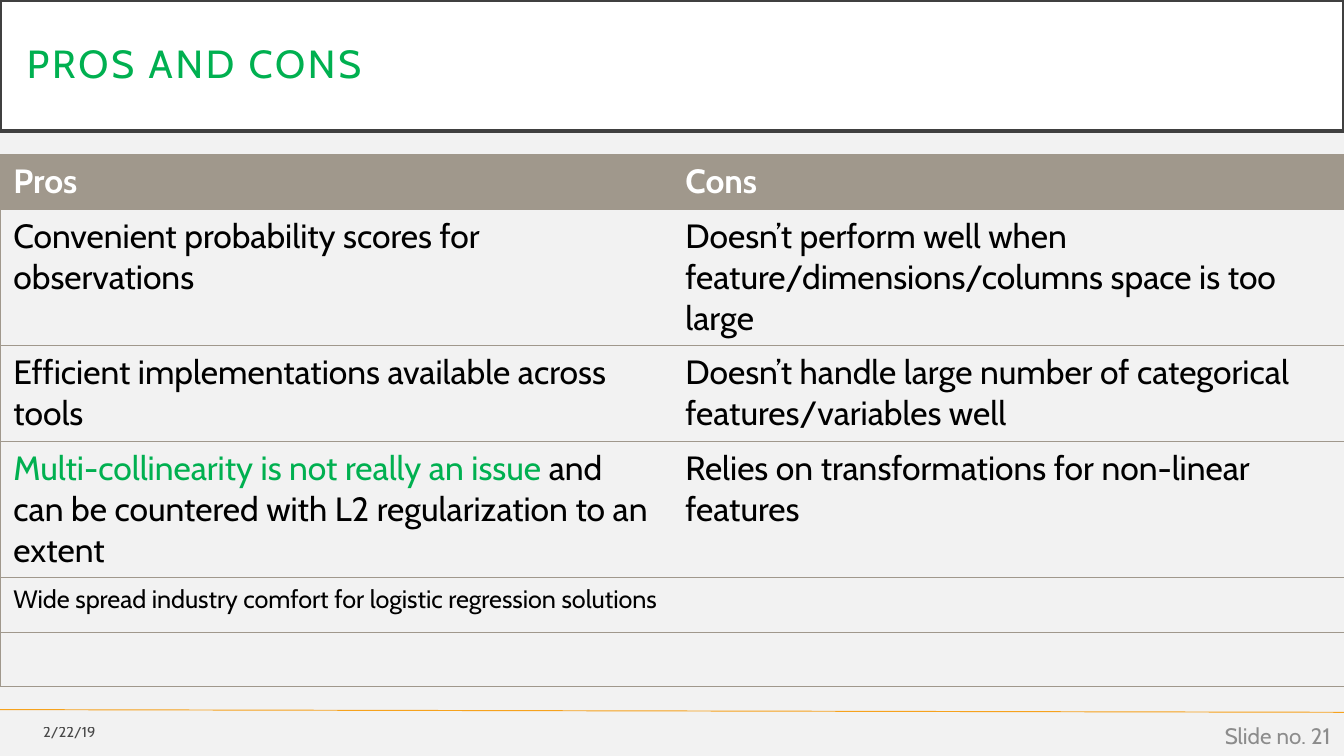
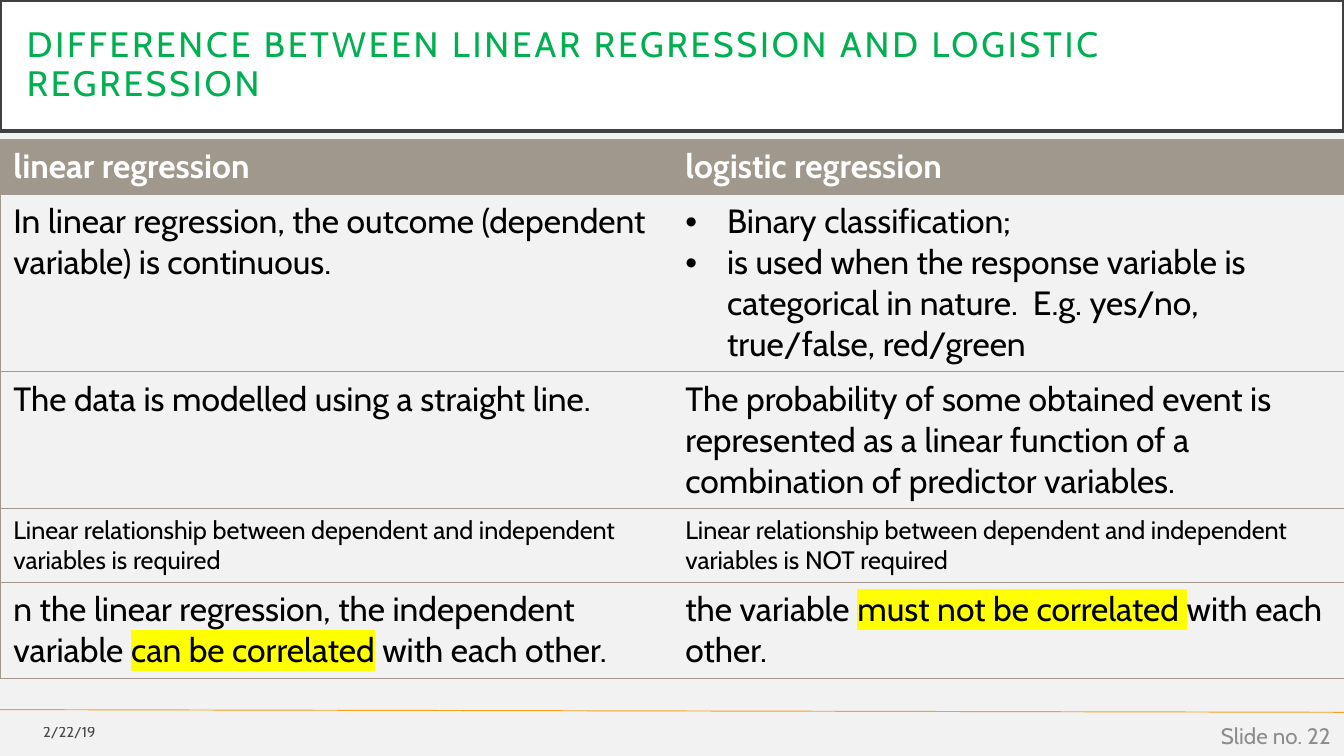
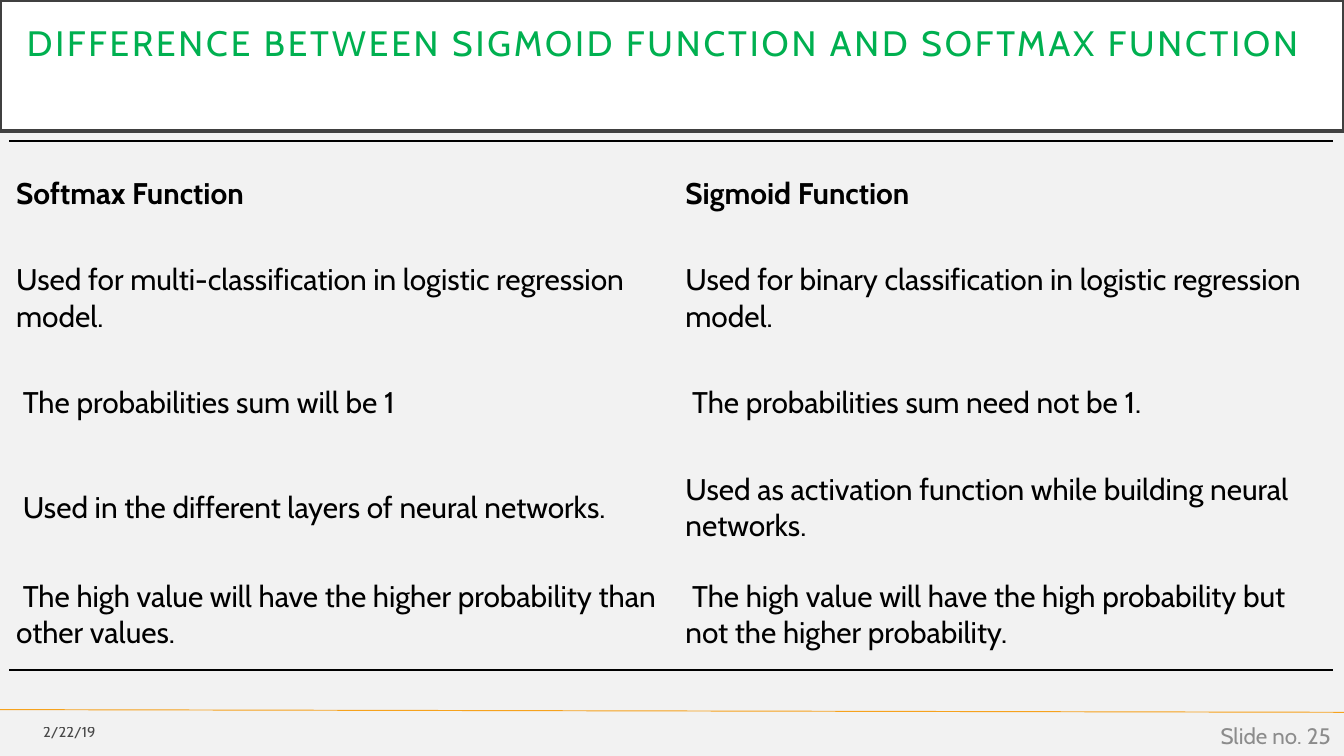
"""Build three slides that compare regression methods and functions."""
from dataclasses import dataclass
from typing import NamedTuple

from lxml import etree
from pptx import Presentation
from pptx import util as u
from pptx.dml.color import RGBColor
from pptx.enum import shapes, text
from pptx.oxml import ns

PX = 4572
WIDE, HIGH = 2000, 1125
FONT = "Cabin"
BLACK, WHITE, GREEN, TAUPE = "000000", "FFFFFF", "00B050", "A0988C"
PAPER, FRAME, GOLD, GREY, YELLOW = "F2F2F2", "404040", "F6A21D", "8C8C8C", "FFFF00"
DATE = "2/22/19"
PLAIN = "{2D5ABB26-0587-4C30-8999-92F81FD0307C}"
LEFT, RIGHT = text.PP_ALIGN.LEFT, text.PP_ALIGN.RIGHT


class Run(NamedTuple):
    """Words in one style."""
    words: str
    size: float = 18
    hue: str = BLACK
    bold: bool = False
    mark: str = ""
    track: int = 0
    alpha: int = 100


class Para(NamedTuple):
    """Runs on shared lines."""
    runs: tuple[Run, ...]
    dot: bool = False
    align: text.PP_ALIGN = LEFT
    lead: float = 1.0
    tail: bool = False


class Box(NamedTuple):
    """Place and size in px."""
    left: int
    top: int
    width: int
    height: int


Cell = tuple[Para, ...]


@dataclass
class Grid:
    """Table with its lines and margins."""
    left: int
    top: int
    cols: tuple[int, ...]
    rows: tuple[int, ...]
    cells: list[tuple[Cell, Cell]]
    ruled: bool = True


@dataclass
class Page:
    """Title, number and table of one slide."""
    title: str
    size: float
    number: int
    grid: Grid
    tail: bool = False


def px(count: int) -> u.Emu:
    """Turn px into EMU."""
    return u.Emu(count * PX)


def color(code: str) -> RGBColor:
    """Turn a hex string into a colour."""
    return RGBColor.from_string(code)


def child(parent, tag: str, **attrs: str):
    """Append an XML element."""
    return etree.SubElement(parent, ns.qn(tag), attrs)


def add_run(line, item: Run) -> None:
    """Add one styled run."""
    run = line.add_run()
    run.text = item.words
    font = run.font
    font.size, font.bold = u.Pt(item.size), item.bold
    font.color.rgb = color(item.hue)
    props = run._r.get_or_add_rPr()
    if item.alpha < 100:
        child(props.find(".//" + ns.qn("a:srgbClr")), "a:alpha", val=str(item.alpha * 1000))
    if item.mark:
        child(child(props, "a:highlight"), "a:srgbClr", val=item.mark)
    if item.track:
        props.set("spc", str(item.track))
    font.name = FONT


def fill_text(frame, paras: Cell) -> None:
    """Write paragraphs into a frame."""
    for at, para in enumerate(paras):
        line = frame.add_paragraph() if at else frame.paragraphs[0]
        line.alignment, line.line_spacing = para.align, para.lead
        if para.dot:
            props = line._p.get_or_add_pPr()
            props.set("marL", str(px(62)))
            props.set("indent", str(px(-62)))
            child(props, "a:buFont", typeface="Arial")
            child(props, "a:buChar", char="•")
        for run in para.runs:
            add_run(line, run)
        if para.tail:
            line.add_line_break()


def add_title(slide, page: Page) -> None:
    """Draw the framed title band."""
    band = slide.shapes.add_shape(shapes.MSO_SHAPE.RECTANGLE, 0, 0, px(WIDE), px(195))
    band.shadow.inherit = False
    band.fill.solid()
    band.fill.fore_color.rgb = color(WHITE)
    band.line.color.rgb = color(FRAME)
    band.line.width = u.Pt(2.5)
    frame = band.text_frame
    frame.word_wrap = True
    frame.vertical_anchor = text.MSO_ANCHOR.MIDDLE
    frame.margin_left = frame.margin_right = px(40)
    frame.margin_top = frame.margin_bottom = px(40)
    run = Run(page.title, page.size, GREEN, track=150)
    fill_text(frame, (Para((run,), lead=0.9, tail=page.tail),))


def add_note(slide, box: Box, run: Run) -> None:
    """Add a right-aligned footer text."""
    frame = slide.shapes.add_textbox(*map(px, box)).text_frame
    frame.word_wrap = True
    frame.vertical_anchor = text.MSO_ANCHOR.MIDDLE
    fill_text(frame, (Para((run,), align=RIGHT),))


def add_rule(slide) -> None:
    """Draw the gold footer line."""
    rule = slide.shapes.add_connector(
        shapes.MSO_CONNECTOR.STRAIGHT, 0, px(1056), px(WIDE), px(1060))
    rule.line.color.rgb = color(GOLD)
    rule.line.width = u.Pt(0.5)
    child(rule._element.spPr, "a:effectLst")


def add_edges(cell, sides: str, hue: str, width: float) -> None:
    """Line the named sides of a cell and clear the rest."""
    props = cell._tc.get_or_add_tcPr()
    for side in "LRTB":
        edge = child(props, f"a:ln{side}", w=str(u.Pt(width)))
        if side in sides:
            child(child(edge, "a:solidFill"), "a:srgbClr", val=hue)
        else:
            child(edge, "a:noFill")


def add_grid(slide, grid: Grid) -> None:
    """Draw a table."""
    rows, cols = len(grid.rows), len(grid.cols)
    box = Box(grid.left, grid.top, sum(grid.cols), sum(grid.rows))
    table = slide.shapes.add_table(rows, cols, *map(px, box)).table
    table.first_row = table.horz_banding = False
    table._tbl.tblPr.find(ns.qn("a:tableStyleId")).text = PLAIN
    for col, width in zip(table.columns, grid.cols):
        col.width = px(width)
    for row, height in zip(table.rows, grid.rows):
        row.height = px(height)
    for y, pair in enumerate(grid.cells):
        for x, paras in enumerate(pair):
            cell = table.cell(y, x)
            if grid.ruled:
                add_edges(cell, "TB" + ("R" if x else "L"), TAUPE, 0.5)
            else:
                add_edges(cell, {0: "T", rows - 1: "B"}.get(y, ""), BLACK, 1)
                cell.vertical_anchor = text.MSO_ANCHOR.MIDDLE
                cell.margin_left = cell.margin_right = px(10)
                cell.margin_top = cell.margin_bottom = px(10)
            if grid.ruled and y == 0:
                cell.fill.solid()
                cell.fill.fore_color.rgb = color(TAUPE)
            else:
                cell.fill.background()
            fill_text(cell.text_frame, paras)


def say(words: str, size: float = 18) -> Cell:
    """Make a cell of plain words."""
    return (Para((Run(words, size),)),)


def mix(*runs: Run) -> Cell:
    """Make a cell of one mixed paragraph."""
    return (Para(runs),)


def head(words: str, size: float = 18, hue: str = WHITE) -> Cell:
    """Make a bold header cell."""
    return mix(Run(words, size, hue, True))


def list_of(*items: str) -> Cell:
    """Make a cell of bullets."""
    return tuple(Para((Run(item),), dot=True) for item in items)


PROS = [
    (head("Pros"), head("Cons")),
    (say("Convenient probability scores for observations"),
     say("Doesn’t perform well when feature/dimensions/columns space is too large")),
    (say("Efficient implementations available across tools"),
     say("Doesn’t handle large number of categorical features/variables well")),
    (mix(Run("Multi-collinearity is not really an issue ", hue=GREEN),
         Run("and can be countered with L2 regularization to an extent")),
     say("Relies on transformations for non-linear features")),
    (say("Wide spread industry comfort for logistic regression solutions", 13.5), ()),
    ((), ()),
]
MODELS = [
    (head("linear regression"), head("logistic regression")),
    (say("In linear regression, the outcome (dependent variable) is continuous."),
     list_of("Binary classification;",
             "is used when the response variable is categorical in nature.  "
             "E.g. yes/no, true/false, red/green")),
    (say("The data is modelled using a straight line."),
     say("The probability of some obtained event is represented as a linear function "
         "of a combination of predictor variables.")),
    (say("Linear relationship between dependent and independent variables is required", 13.5),
     say("Linear relationship between dependent and independent variables is NOT required",
         13.5)),
    (mix(Run("n the linear regression, the independent variable "),
         Run("can be correlated", mark=YELLOW), Run(" with each other.")),
     mix(Run("the variable "), Run("must not be correlated ", mark=YELLOW),
         Run("with each other."))),
]
CURVES = [
    (head("Softmax Function", 16, BLACK), head("Sigmoid Function", 16, BLACK)),
    (say("Used for multi-classification in logistic regression model.", 16),
     say("Used for binary classification in logistic regression model.", 16)),
    (say(" The probabilities sum will be 1", 16),
     say(" The probabilities sum need not be 1.", 16)),
    (say(" Used in the different layers of neural networks.", 16),
     say("Used as activation function while building neural networks.", 16)),
    (say(" The high value will have the higher probability than other values.", 16),
     say(" The high value will have the high probability but not the higher probability.", 16)),
]
PAGES = [
    Page("PROS AND CONS", 21, 21, Grid(0, 230, (1000, 1000), (81,) * 6, PROS)),
    Page("DIFFERENCE BETWEEN LINEAR REGRESSION AND LOGISTIC REGRESSION", 18.9, 22,
         Grid(0, 208, (1000, 1000), (81,) * 5, MODELS)),
    Page("DIFFERENCE BETWEEN SIGMOID FUNCTION AND SOFTMAX FUNCTION", 18.9, 25,
         Grid(14, 210, (996, 974), (156,) * 4 + (163,), CURVES, ruled=False), tail=True),
]


def main() -> None:
    """Build and save the deck."""
    deck = Presentation()
    deck.slide_width, deck.slide_height = px(WIDE), px(HIGH)
    for page in PAGES:
        slide = deck.slides.add_slide(deck.slide_layouts[6])
        slide.background.fill.solid()
        slide.background.fill.fore_color.rgb = color(PAPER)
        add_rule(slide)
        add_title(slide, page)
        add_grid(slide, page.grid)
        add_note(slide, Box(0, 1062, 162, 54), Run(DATE, 7.9, alpha=70))
        add_note(slide, Box(1550, 1065, 450, 60), Run(f"Slide no. {page.number}", 12, GREY))
    deck.save("out.pptx")


if __name__ == "__main__":
    main()
